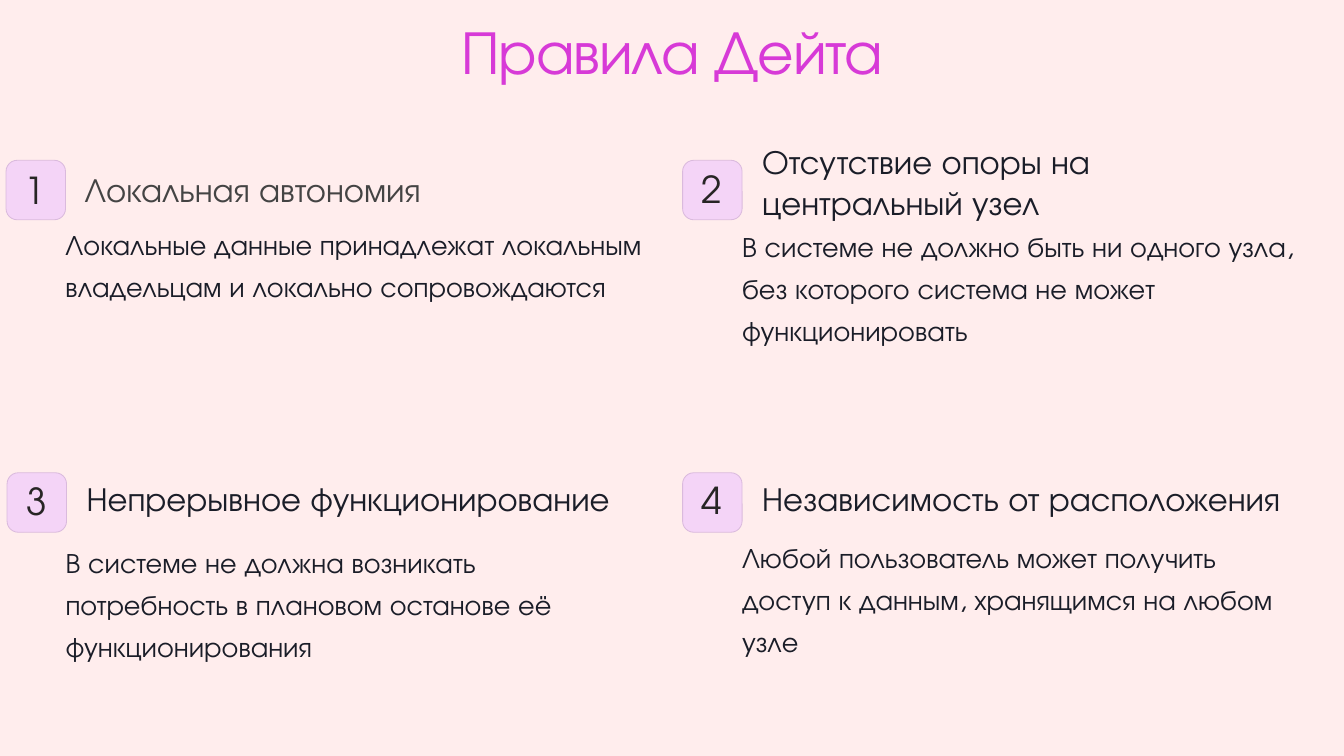
from pptx import Presentation
from pptx.dml.color import RGBColor
from pptx.enum.shapes import MSO_SHAPE as Shape
from pptx.enum.text import MSO_ANCHOR as Anchor, MSO_AUTO_SIZE as Fit, PP_ALIGN as Align
from pptx.util import Inches, Pt

FONT = "TeX Gyre Adventor"
BACK = RGBColor(0xFF, 0xED, 0xED)
PINK = RGBColor(0xD7, 0x3A, 0xD7)
TILE = RGBColor(0xF4, 0xD4, 0xF7)
EDGE = RGBColor(0xDA, 0xBA, 0xDD)
DIGIT = RGBColor(0x27, 0x25, 0x25)
GREY = RGBColor(0x44, 0x44, 0x44)
INK = RGBColor(0x1A, 0x1D, 0x28)

SIDE = 0.59

# tile (left, top), digit top, head (box, lines, colour, line height), body (box, text)
RULES = [
    ((0.06, 1.59), 1.73,
     ((0.84, 1.69, 3.72, 0.38), ["Локальная автономия"], GREY, 27.5),
     ((0.65, 2.17, 5.76, 0.97),
      "Локальные данные принадлежат локальным владельцам и локально сопровождаются")),
    ((6.77, 1.59), 1.72,
     ((7.56, 1.4, 5.25, 0.77), ["Отсутствие опоры на", "центральный узел"], INK, None),
     ((7.36, 2.19, 5.86, 0.89),
      "В системе не должно быть ни одного узла, без которого система не может функционировать")),
    ((0.07, 4.69), 4.82,
     ((0.86, 4.76, 4.13, 0.38), ["Непрерывное функционирование"], INK, 27.5),
     ((0.65, 5.33, 5.62, 0.97),
      "В системе не должна возникать потребность в плановом останове её функционирования")),
    ((6.77, 4.69), 4.81,
     ((7.56, 4.76, 3.08, 0.38), ["Независимость от расположения"], INK, 27.5),
     ((7.36, 5.28, 5.46, 1.28),
      "Любой пользователь может получить доступ к данным, хранящимся на любом узле")),
]


def place(shape, box):
    shape.left, shape.top, shape.width, shape.height = map(Inches, box)


def write(shape, lines, size, color, lead=None, align=Align.LEFT, wrap=False, track=0):
    """Fill a shape with one paragraph per line; track is in hundredths of a point."""
    frame = shape.text_frame
    frame.auto_size = Fit.NONE
    frame.word_wrap = wrap
    frame.vertical_anchor = Anchor.TOP
    frame.margin_left = frame.margin_right = frame.margin_top = frame.margin_bottom = 0
    for i, line in enumerate(lines):
        para = frame.add_paragraph() if i else frame.paragraphs[0]
        para.alignment = align
        if lead:
            para.line_spacing = Pt(lead)
        run = para.add_run()
        run.text = line
        run.font.name = FONT
        run.font.size = Pt(size)
        run.font.color.rgb = color
        if track:
            run.font._element.set("spc", str(track))


def add_text(slide, box, lines, size, color, **style):
    shape = slide.shapes.add_textbox(*map(Inches, box))
    write(shape, lines, size, color, **style)


def add_title(slide, text):
    title = slide.shapes.title
    place(title, (4.36, 0.1, 4.62, 0.77))
    write(title, [text], 44, PINK, lead=55, align=Align.CENTER, track=-90)


def add_tile(slide, left, top):
    tile = slide.shapes.add_shape(
        Shape.ROUNDED_RECTANGLE, *map(Inches, (left, top, SIDE, SIDE)))
    tile.adjustments[0] = 0.187
    tile.shadow.inherit = False
    tile.fill.solid()
    tile.fill.fore_color.rgb = TILE
    tile.line.color.rgb = EDGE
    tile.line.width = Pt(0.6)


def add_rule(slide, num, corner, top, head, body):
    add_tile(slide, *corner)
    add_text(slide, (corner[0] + 0.2, top, 0.18, 0.37), [str(num)], 26.5, DIGIT,
             lead=26.5, align=Align.CENTER, track=-50)
    box, lines, color, lead = head
    add_text(slide, box, lines, 24, color, lead=lead)
    box, text = body
    add_text(slide, box, [text], 20, INK, lead=30, wrap=True)


def main():
    deck = Presentation()
    deck.slide_width, deck.slide_height = Inches(13.33), Inches(7.5)
    slide = deck.slides.add_slide(deck.slide_layouts[5])
    slide.background.fill.solid()
    slide.background.fill.fore_color.rgb = BACK
    add_title(slide, "Правила Дейта")
    for num, rule in enumerate(RULES, 1):
        add_rule(slide, num, *rule)
    deck.save("out.pptx")


if __name__ == "__main__":
    main()
